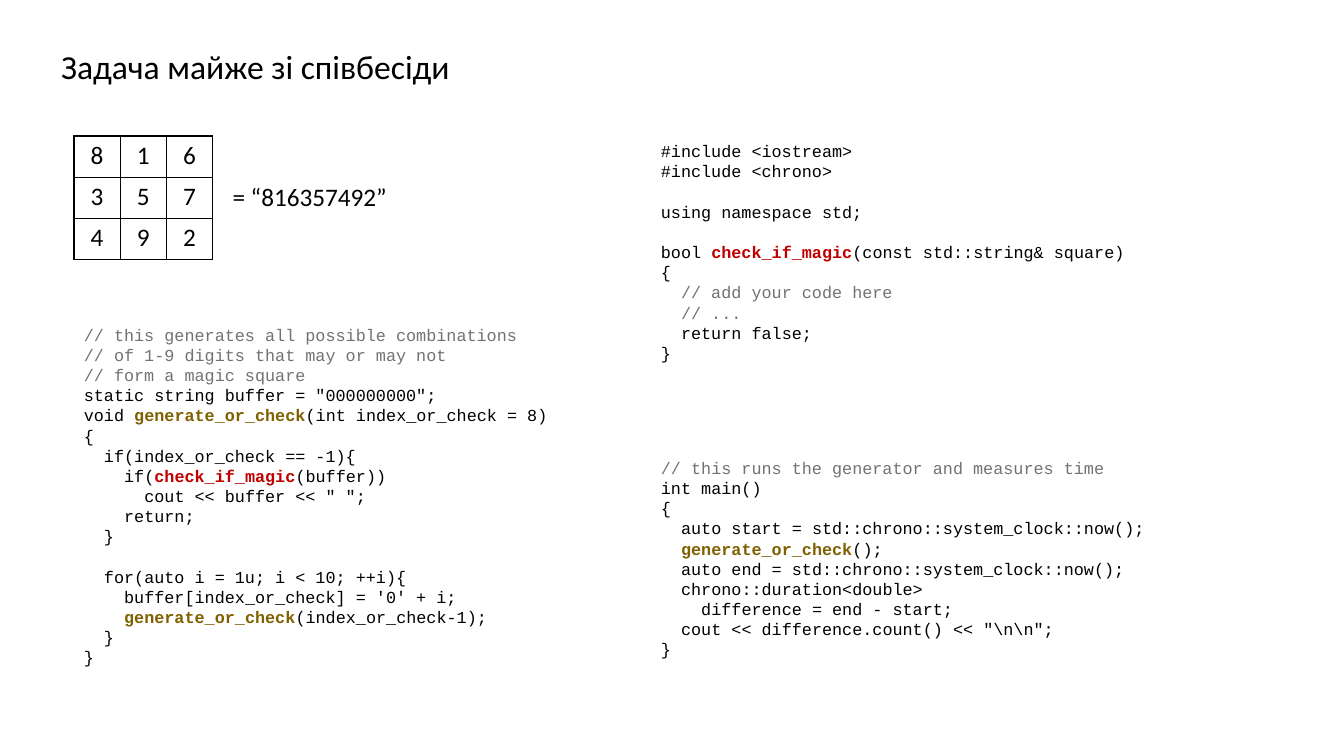
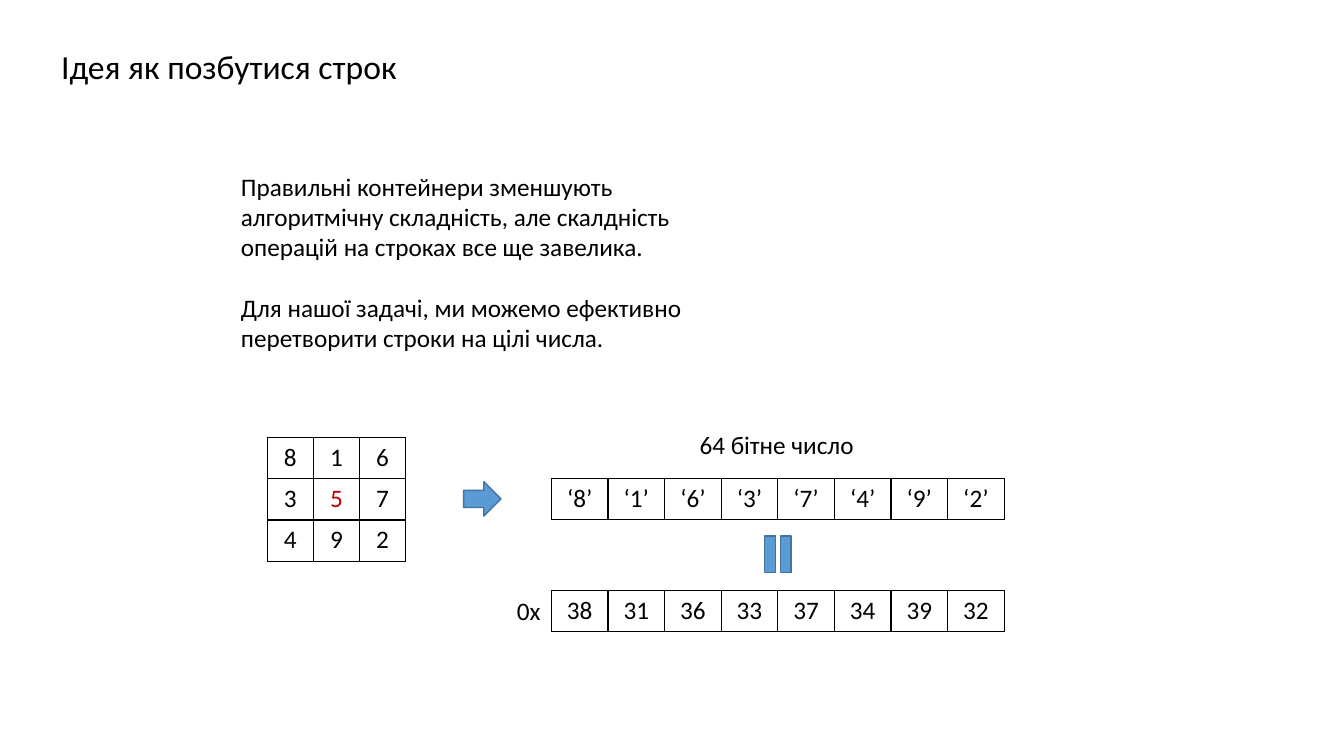
from lxml import etree
from pptx import Presentation
from pptx.dml.color import RGBColor
from pptx.enum.shapes import MSO_SHAPE
from pptx.enum.text import MSO_AUTO_SIZE, PP_ALIGN
from pptx.oxml.ns import qn
from pptx.util import Pt

LEFT, CENTER = PP_ALIGN.LEFT, PP_ALIGN.CENTER
GROW = MSO_AUTO_SIZE.SHAPE_TO_FIT_TEXT
RIGHT_ARROW, EQUAL_SIGN = MSO_SHAPE.RIGHT_ARROW, MSO_SHAPE.MATH_EQUAL

COLUMNS, ROWS, STEP = 32, 18, 381000
LEADING = 1.2
MONO_ADVANCE = 0.6
COLORS = {
    "ink": "000000",
    "comment": "767171",
    "checker": "C00000",
    "generator": "806000",
    "accent": "5B9BD5",
    "accent_edge": "43739E",
}
FUNCTIONS = {"check_if_magic": "checker", "generate_or_check": "generator"}


def rgb(name):
    return RGBColor.from_string(COLORS[name])


def grid(*lengths):
    return [round(length * STEP) for length in lengths]


def split_accents(line, accents):
    if line.startswith("//"):
        return [(line, "comment", False)]
    for word, color in accents.items():
        if word in line:
            before, _, after = line.partition(word)
            return [(before, "ink", False), (word, color, True), (after, "ink", False)]
    return [(line, "ink", False)]


def write(frame, text, size=18, font="Calibri", align=LEFT, accents=None, bold_accents=False):
    paragraph, gap = None, 0
    for line in text.strip("\n").split("\n"):
        words = line.lstrip()
        if not words:
            gap += size * LEADING
            continue
        paragraph = frame.add_paragraph() if paragraph else frame.paragraphs[0]
        paragraph.alignment = align
        paragraph.line_spacing = Pt(size * LEADING)
        paragraph.space_before = Pt(gap)
        gap = 0
        indent = Pt((len(line) - len(words)) * size * MONO_ADVANCE)
        if indent:
            properties = paragraph._p.get_or_add_pPr()
            properties.set("marL", str(indent))
            properties.set("indent", "0")
        for part, color, accented in split_accents(words, accents or {}):
            if part:
                run = paragraph.add_run()
                run.text = part
                run.font.size = Pt(size)
                run.font.name = font
                run.font.bold = accented and bold_accents
                run.font.color.rgb = rgb(color)


class Deck:
    def __init__(self):
        self.presentation = Presentation()
        self.presentation.slide_width, self.presentation.slide_height = grid(COLUMNS, ROWS)

    def slide(self, title, title_width):
        self.shapes = self.presentation.slides.add_slide(
            self.presentation.slide_layouts[6]
        ).shapes
        self.text(title, 1.22, 0.98, title_width, 1.2, size=24)

    def text(self, text, left, top, width, height, wrap=False, **style):
        frame = self.shapes.add_textbox(*grid(left, top, width, height)).text_frame
        frame.word_wrap = wrap
        frame.auto_size = GROW
        write(frame, text, **style)

    def code(self, source, left, top, width, height):
        self.text(source, left, top, width, height, wrap=True, size=12,
                  font="Courier New", accents=FUNCTIONS, bold_accents=True)

    def table(self, rows, left, top, width, height, accents=None):
        table = self.shapes.add_table(
            len(rows), len(rows[0]), *grid(left, top, width, height)
        ).table
        table.first_row = table.horz_banding = False
        for column in table.columns:
            column.width = grid(width / len(rows[0]))[0]
        for row, values in zip(table.rows, rows):
            row.height = grid(height / len(rows))[0]
            for cell, value in zip(row.cells, values):
                cell.fill.background()
                self.border(cell)
                write(cell.text_frame, value, align=CENTER, accents=accents)

    def border(self, cell):
        properties = cell._tc.get_or_add_tcPr()
        for position, side in enumerate(("lnL", "lnR", "lnT", "lnB")):
            edge = etree.Element(qn(f"a:{side}"), w=str(Pt(1)))
            fill = etree.SubElement(edge, qn("a:solidFill"))
            etree.SubElement(fill, qn("a:srgbClr"), val=COLORS["ink"])
            properties.insert(position, edge)

    def symbol(self, kind, left, top, width, height, rotation=0):
        shape = self.shapes.add_shape(kind, *grid(left, top, width, height))
        shape.rotation = rotation
        shape.shadow.inherit = False
        shape.fill.solid()
        shape.fill.fore_color.rgb = rgb("accent")
        shape.line.color.rgb = rgb("accent_edge")
        shape.line.width = Pt(1)


SQUARE = ["816", "357", "492"]
SQUARE_SIZE = (3.3, 2.94)
BYTES_LEFT, BYTES_SIZE = 13.13, (10.78, 0.97)
LABEL_HEIGHT = 0.96
CODE_LEFT, CODE_RIGHT = 1.76, 15.5

CHECKER = """
#include <iostream>
#include <chrono>

using namespace std;

bool check_if_magic(const std::string& square)
{
  // add your code here
  // ...
  return false;
}
"""

GENERATOR = """
// this generates all possible combinations
// of 1-9 digits that may or may not
// form a magic square
static string buffer = "000000000";
void generate_or_check(int index_or_check = 8)
{
  if(index_or_check == -1){
    if(check_if_magic(buffer))
      cout << buffer << " ";
    return;
  }

  for(auto i = 1u; i < 10; ++i){
    buffer[index_or_check] = '0' + i;
    generate_or_check(index_or_check-1);
  }
}
"""

MAIN = r"""
// this runs the generator and measures time
int main()
{
  auto start = std::chrono::system_clock::now();
  generate_or_check();
  auto end = std::chrono::system_clock::now();
  chrono::duration<double>
    difference = end - start;
  cout << difference.count() << "\n\n";
}
"""

IDEA = """
Правильні контейнери зменшують алгоритмічну складність, але скалдність операцій на строках все ще завелика.

Для нашої задачі, ми можемо ефективно перетворити строки на цілі числа.
"""

deck = Deck()

deck.slide("Задача майже зі співбесіди", 9.84)
deck.table(SQUARE, CODE_LEFT, 3.24, *SQUARE_SIZE)
deck.code(CHECKER, CODE_RIGHT, 3.24, 13.54, 5.57)
deck.code(GENERATOR, CODE_LEFT, 7.61, 13.03, 8.47)
deck.code(MAIN, CODE_RIGHT, 10.78, 12.98, 5.09)
deck.text("= “816357492”", 5.3, 4.2, 4.2, LABEL_HEIGHT)

deck.slide("Ідея як позбутися строк", 8.54)
outer_digits = "".join(SQUARE).replace("5", "")
characters = [f"‘{digit}’" for digit in outer_digits]
hex_codes = [f"{ord(digit):x}" for digit in outer_digits]
deck.table(SQUARE, 6.36, 10.42, *SQUARE_SIZE, accents={"5": "checker"})
deck.symbol(RIGHT_ARROW, 11.04, 11.47, 0.89, 0.82)
deck.table([characters], BYTES_LEFT, 11.4, *BYTES_SIZE)
deck.text("64 бітне число", 16.42, 10.1, 4.2, LABEL_HEIGHT)
deck.text(IDEA, 5.5, 3.96, 11.33, 4.61, wrap=True)
deck.table([hex_codes], BYTES_LEFT, 14.06, *BYTES_SIZE)
deck.text("0x", 12.07, 14.06, 1.06, LABEL_HEIGHT)
deck.symbol(EQUAL_SIGN, 17.93, 12.67, 1.18, 1.06, rotation=90)

deck.presentation.save("out.pptx")
